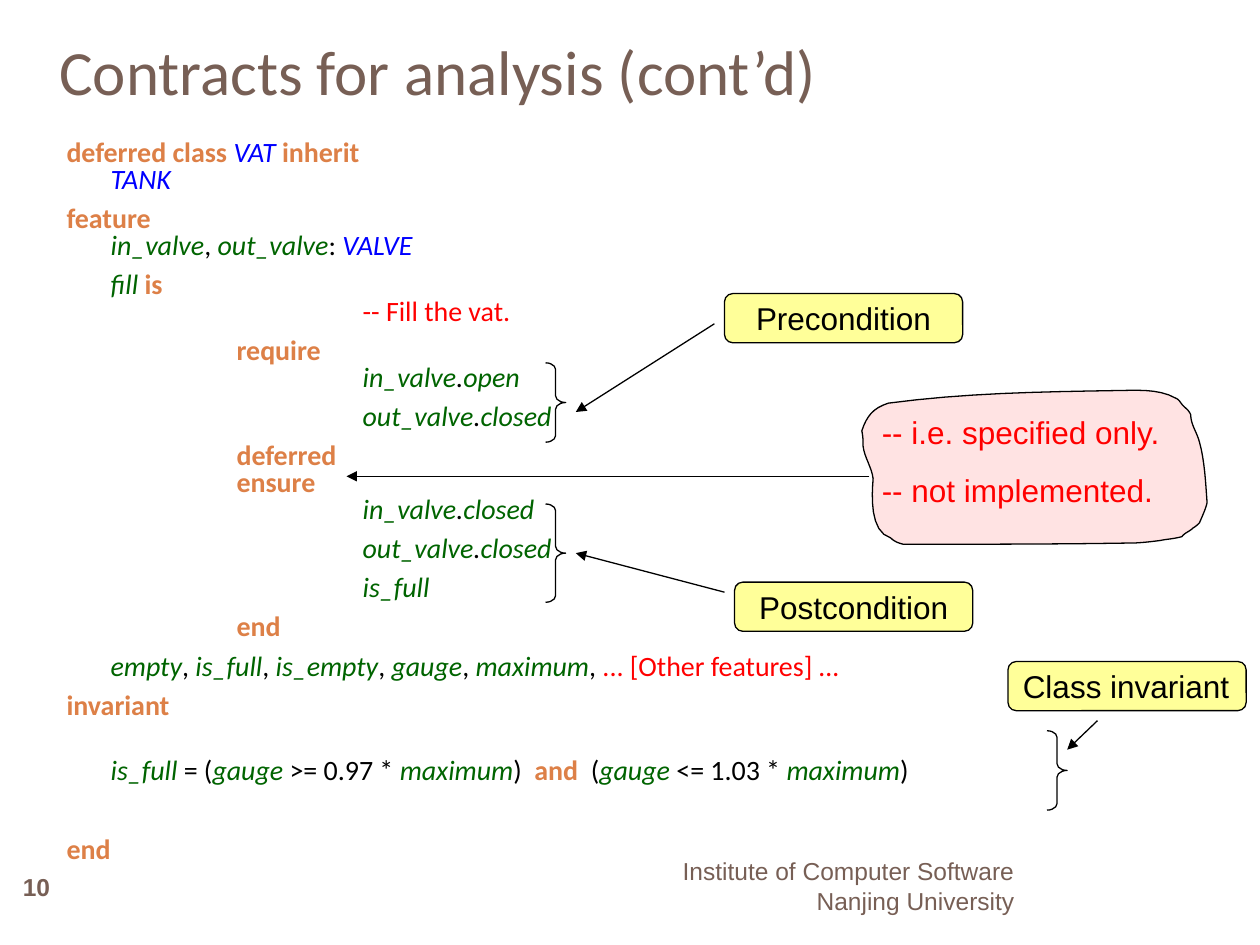
from lxml.etree import SubElement
from pptx import Presentation
from pptx.dml.color import RGBColor
from pptx.enum.shapes import MSO_CONNECTOR, MSO_SHAPE
from pptx.enum.text import MSO_ANCHOR, MSO_AUTO_SIZE, PP_ALIGN
from pptx.oxml.ns import qn
from pptx.util import Inches, Pt

BROWN = RGBColor(0x77, 0x5F, 0x55)
ORANGE = RGBColor(0xDD, 0x80, 0x47)
BLUE = RGBColor(0x00, 0x00, 0xFF)
GREEN = RGBColor(0x00, 0x64, 0x00)
RED = RGBColor(0xFF, 0x00, 0x00)
BLACK = RGBColor(0x00, 0x00, 0x00)
YELLOW = RGBColor(0xFF, 0xFF, 0x99)
PINK = RGBColor(0xFF, 0xE3, 0xE3)

KEYWORD = (ORANGE, True, False)
TYPE = (BLUE, False, True)
FEATURE = (GREEN, False, True)
PLAIN = (BLACK, False, False)
DOT = (BLACK, False, True)
COMMENT = (RED, False, False)
ELLIPSIS = (RED, False, True)

TITLE = "Contracts for analysis (cont’d)"
FOOTER = ["Institute of Computer Software", "Nanjing University"]
PAGE_NUMBER = ["10"]
NOTES = ["-- i.e. specified only.", "-- not implemented."]

INDENTS = [0, 0.35, 1.35, 2.35]
COMMA = (PLAIN, ", ")
IN_VALVE = [(FEATURE, "in_valve"), (DOT, ".")]
OUT_VALVE = [(FEATURE, "out_valve"), (DOT, ".")]

# indent level, space before in points, spans
CODE = [
    (0, 0, [(KEYWORD, "deferred class "), (TYPE, "VAT "), (KEYWORD, "inherit")]),
    (1, 0, [(TYPE, "TANK")]),
    (0, 7, [(KEYWORD, "feature")]),
    (1, 0, [(FEATURE, "in_valve"), COMMA, (FEATURE, "out_valve"),
            (PLAIN, ": "), (TYPE, "VALVE")]),
    (1, 7, [(FEATURE, "fill "), (KEYWORD, "is")]),
    (3, 0, [(COMMENT, "-- Fill the vat.")]),
    (2, 7, [(KEYWORD, "require")]),
    (3, 0, IN_VALVE + [(FEATURE, "open")]),
    (3, 7, OUT_VALVE + [(FEATURE, "closed")]),
    (2, 7, [(KEYWORD, "deferred")]),
    (2, 0, [(KEYWORD, "ensure")]),
    (3, 0, IN_VALVE + [(FEATURE, "closed")]),
    (3, 7, OUT_VALVE + [(FEATURE, "closed")]),
    (3, 7, [(FEATURE, "is_full")]),
    (2, 7, [(KEYWORD, "end")]),
    (1, 7, [(FEATURE, "empty"), COMMA, (FEATURE, "is_full"), COMMA,
            (FEATURE, "is_empty"), COMMA, (FEATURE, "gauge"), COMMA,
            (FEATURE, "maximum"), COMMA,
            (COMMENT, "... [Other features]"), (ELLIPSIS, " ...")]),
    (0, 7, [(KEYWORD, "invariant")]),
    (1, 22.2, [(FEATURE, "is_full"), (PLAIN, " = ("), (FEATURE, "gauge"),
               (PLAIN, " >= 0.97 * "), (FEATURE, "maximum"), (PLAIN, ")  "),
               (KEYWORD, "and  "), (PLAIN, "("), (FEATURE, "gauge"),
               (PLAIN, " <= 1.03 * "), (FEATURE, "maximum"), (PLAIN, ")")]),
    (0, 29.4, [(KEYWORD, "end")]),
]

CALLOUTS = [
    ("Precondition", 5.75, 2.33, PP_ALIGN.CENTER),
    ("Class invariant", 8, 5.25, PP_ALIGN.LEFT),
    ("Postcondition", 5.83, 4.62, PP_ALIGN.CENTER),
]
BRACES = [(4.33, 2.88, 0.63), (8.31, 5.8, 0.63), (4.33, 4, 0.78)]
ARROWS = [
    (5.67, 2.57, 4.57, 3.27),
    (8.71, 5.72, 8.47, 5.95),
    (6.9, 3.78, 2.75, 3.78),
    (5.75, 4.7, 4.57, 4.39),
]
CLOUD_START = (9.45, 3.29)
CLOUD_CURVES = [
    (9.43, 3.25, 9.42, 3.25, 9.39, 3.22), (9.37, 3.2, 9.36, 3.17, 9.33, 3.16),
    (9.19, 3.08, 9, 3.1, 8.86, 3.1), (8.25, 3.11, 7.65, 3.12, 7.05, 3.2),
    (6.93, 3.24, 6.88, 3.3, 6.84, 3.42), (6.85, 3.46, 6.85, 3.5, 6.85, 3.54),
    (6.86, 3.63, 6.92, 3.71, 6.93, 3.8), (6.92, 3.93, 6.9, 4.22, 7.07, 4.27),
    (7.1, 4.3, 7.13, 4.31, 7.17, 4.32), (7.78, 4.32, 8.38, 4.32, 8.99, 4.31),
    (9.06, 4.31, 9.21, 4.29, 9.21, 4.29), (9.25, 4.28, 9.3, 4.28, 9.38, 4.26),
    (9.4, 4.23, 9.44, 4.22, 9.47, 4.19), (9.49, 4.18, 9.52, 4.15, 9.52, 4.15),
    (9.54, 4.1, 9.57, 4.04, 9.58, 3.99), (9.57, 3.84, 9.56, 3.65, 9.52, 3.51),
    (9.5, 3.43, 9.45, 3.37, 9.45, 3.29),
]


def style_font(font, name, size, color, bold=False, italic=False):
    font.name, font.size = name, Pt(size)
    font.color.rgb = color
    font.bold, font.italic = bold, italic


def fill_text(frame, lines, size, color, align, bold=False, gap=0):
    frame.text = "\n".join(lines)
    for index, para in enumerate(frame.paragraphs):
        para.alignment = align
        if index and gap:
            para.space_before = Pt(gap)
        style_font(para.runs[0].font, "Arial", size, color, bold)


def add_box(page, left, top, width, height, anchor=MSO_ANCHOR.TOP):
    box = page.shapes.add_textbox(*map(Inches, (left, top, width, height)))
    box.text_frame.word_wrap = True
    box.text_frame.vertical_anchor = anchor
    return box.text_frame


def outline(shape, fill=None):
    shape.shadow.inherit = False
    shape.line.color.rgb = BLACK
    shape.line.width = Pt(0.75)
    if fill is None:
        shape.fill.background()
    else:
        shape.fill.solid()
        shape.fill.fore_color.rgb = fill


def add_code(page):
    frame = add_box(page, 0.43, 1.07, 9, 5.91)
    for index, (level, gap, spans) in enumerate(CODE):
        para = frame.add_paragraph() if index else frame.paragraphs[0]
        para.line_spacing = 0.8
        if gap:
            para.space_before = Pt(gap)
        para._p.get_or_add_pPr().set("marL", str(Inches(INDENTS[level])))
        for style, text in spans:
            span = para.add_run()
            span.text = text
            style_font(span.font, "Calibri", 16, *style)


def add_callout(page, label, left, top, align):
    shape = page.shapes.add_shape(
        MSO_SHAPE.ROUNDED_RECTANGLE, *map(Inches, (left, top, 1.89, 0.39)))
    outline(shape, YELLOW)
    shape.text_frame.vertical_anchor = MSO_ANCHOR.MIDDLE
    fill_text(shape.text_frame, [label], 18, BLACK, align)


def add_brace(page, left, top, height):
    brace = page.shapes.add_shape(
        MSO_SHAPE.RIGHT_BRACE, *map(Inches, (left, top, 0.16, height)))
    brace.adjustments[0] = 0.33
    outline(brace)


def add_arrow(page, *ends):
    arrow = page.shapes.add_connector(MSO_CONNECTOR.STRAIGHT, *map(Inches, ends))
    arrow.line.color.rgb = BLACK
    arrow.line.width = Pt(0.75)
    SubElement(arrow.line._get_or_add_ln(), qn("a:tailEnd"), type="triangle")
    SubElement(arrow._element.spPr, qn("a:effectLst"))


def curve_points(start, curves, steps=8):
    points = []
    for x1, y1, x2, y2, x3, y3 in curves:
        for step in range(1, steps + 1):
            t = step / steps
            u = 1 - t
            weights = (u ** 3, 3 * u * u * t, 3 * u * t * t, t ** 3)
            xs, ys = (start[0], x1, x2, x3), (start[1], y1, y2, y3)
            points.append(tuple(
                Inches(sum(w * v for w, v in zip(weights, values)))
                for values in (xs, ys)))
        start = (x3, y3)
    return points


def add_cloud(page):
    builder = page.shapes.build_freeform(*map(Inches, CLOUD_START))
    builder.add_line_segments(curve_points(CLOUD_START, CLOUD_CURVES), close=True)
    outline(builder.convert_to_shape(), PINK)
    fill_text(add_box(page, 6.9, 3.23, 2.66, 0.86), NOTES, 18, RED,
              PP_ALIGN.LEFT, gap=11.2)


def main():
    deck = Presentation()
    deck.slide_width, deck.slide_height = Inches(10), Inches(7.5)
    page = deck.slides.add_slide(deck.slide_layouts[5])

    title = page.shapes.title
    title.left, title.top, title.width, title.height = map(
        Inches, (0.37, 0.13, 8.25, 0.86))
    frame = title.text_frame
    frame.text = TITLE
    frame.auto_size = MSO_AUTO_SIZE.NONE
    frame.vertical_anchor = MSO_ANCHOR.MIDDLE
    frame.paragraphs[0].alignment = PP_ALIGN.LEFT
    style_font(frame.paragraphs[0].runs[0].font, "Calibri", 36, BROWN)

    fill_text(add_box(page, 0.67, 6.83, 7.48, 0.4, MSO_ANCHOR.MIDDLE),
              FOOTER, 14, BROWN, PP_ALIGN.RIGHT)
    fill_text(add_box(page, 0, 6.83, 0.58, 0.42, MSO_ANCHOR.MIDDLE),
              PAGE_NUMBER, 14, BROWN, PP_ALIGN.CENTER, bold=True)
    add_code(page)
    add_cloud(page)
    for callout in CALLOUTS:
        add_callout(page, *callout)
    for brace in BRACES:
        add_brace(page, *brace)
    for arrow in ARROWS:
        add_arrow(page, *arrow)
    deck.save("out.pptx")


if __name__ == "__main__":
    main()
